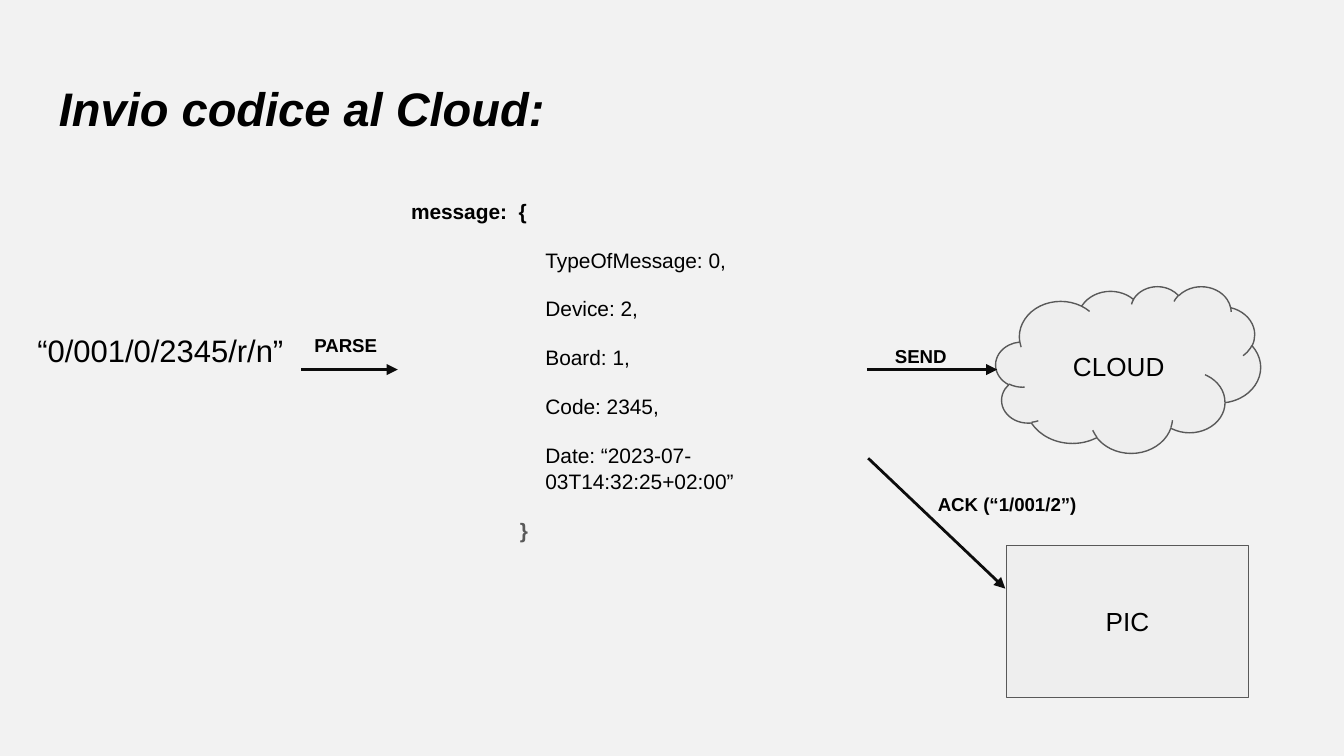
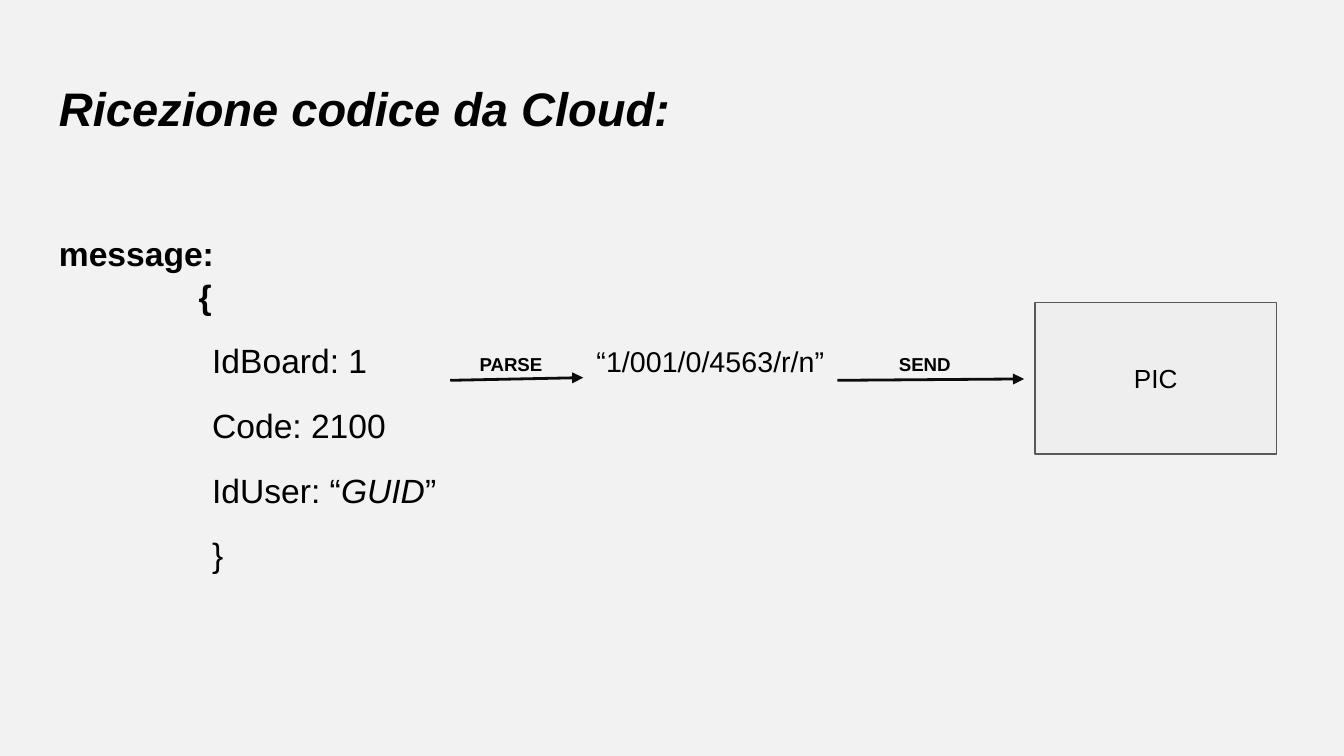
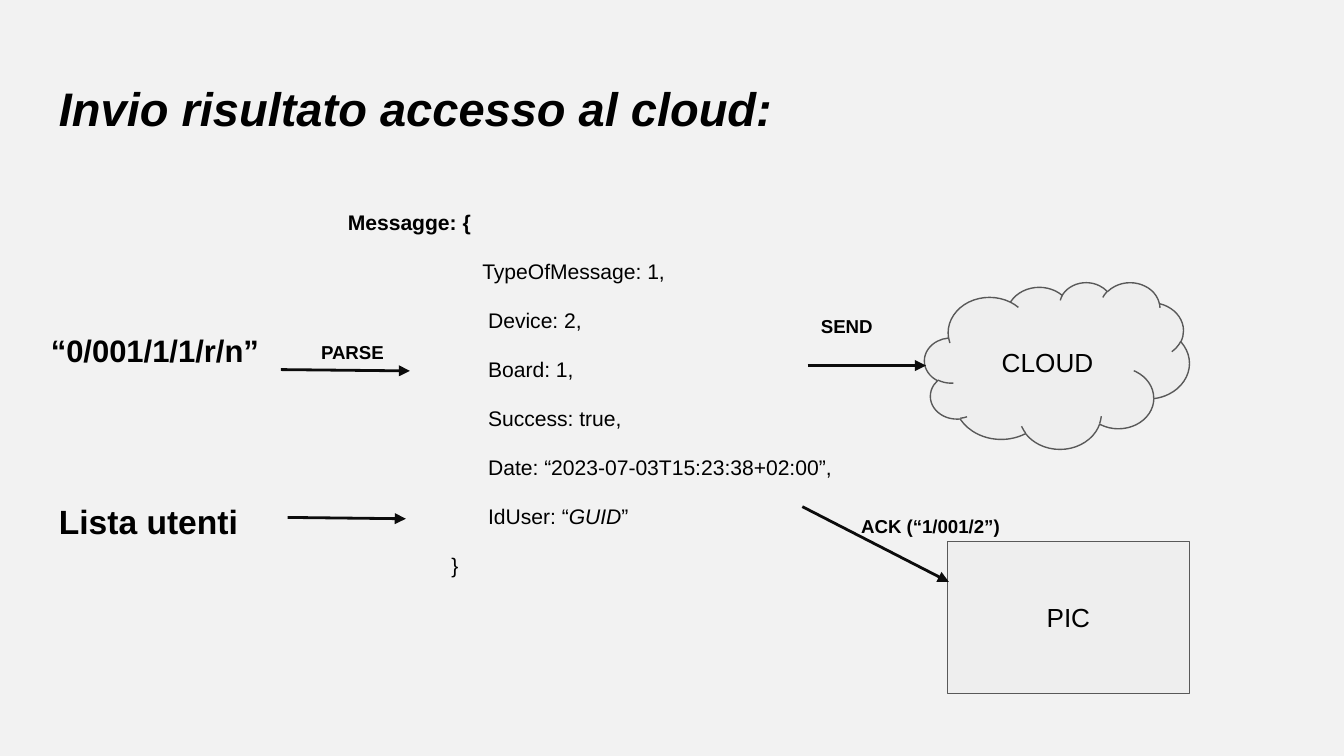
import pptx
import pptx.util
import pptx.dml.color
import pptx.enum.shapes
import pptx.enum.text
import pptx.oxml
from pptx.oxml.ns import qn

Inches, Pt = pptx.util.Inches, pptx.util.Pt
RGB = pptx.dml.color.RGBColor
SHAPE = pptx.enum.shapes.MSO_SHAPE
ANCHOR = pptx.enum.text.MSO_ANCHOR
ALIGN = pptx.enum.text.PP_ALIGN

PAPER = RGB(0xF2, 0xF2, 0xF2)
PALE = RGB(0xEE, 0xEE, 0xEE)
GREY = RGB(0x59, 0x59, 0x59)
INK = RGB(0x0C, 0x0C, 0x0C)
BLACK = RGB(0, 0, 0)
FONT = "Arial"
ROW = 0.63  # height of titles, codes and labels

# Node kinds: preset shape, width, height
NODES = {
    "CLOUD": (SHAPE.CLOUD, 1.97, 1.24),
    "PIC": (SHAPE.RECTANGLE, 1.8, 1.13),
}

# A tuple of runs has its second run in italics
SLIDES = [
    {
        "title": "Invio codice al Cloud:",
        # text, left, top, width, size, bold
        "codes": [("“0/001/0/2345/r/n”", 0.18, 2.27, 2.06, 16.6, False)],
        # head and items: indent, text; close: indent, bold, colour
        "message": {
            "box": (2.96, 1.37, 3.48, 2.77), "size": 11.2,
            "head": (0, "message:  {"),
            "items": (1, ["TypeOfMessage: 0,", "Device: 2,", "Board: 1,",
                          "Code: 2345,", "Date: “2023-07-03T14:32:25+02:00”"]),
            "close": (0.81, True, GREY),
        },
        "nodes": [("CLOUD", 7.41, 2.13), ("PIC", 7.49, 4.06)],
        "arrows": [(2.24, 2.75, 2.96, 2.75), (6.45, 2.75, 7.42, 2.75),
                   (6.46, 3.41, 7.48, 4.38)],
        # text, left, top, width
        "labels": [("PARSE", 2.24, 2.24, 0.72), ("SEND", 6.56, 2.32, 0.65),
                   ("ACK (“1/001/2”)", 6.88, 3.42, 1.8)],
    },
    {
        "title": "Ricezione codice da Cloud:",
        "codes": [("“1/001/0/4563/r/n”", 4.34, 2.35, 1.97, 15.3, False)],
        "message": {
            "box": (0.34, 1.62, 3.48, 2.77), "size": 18,
            "head": (1.04, "message:\n{"),
            "items": (1.14, ["IdBoard: 1", "Code: 2100",
                             ("IdUser: “", "GUID", "”")]),
            "close": (1.14, False, BLACK),
        },
        "nodes": [("PIC", 7.7, 2.25)],
        "arrows": [(3.35, 2.83, 4.34, 2.81), (6.23, 2.83, 7.62, 2.82)],
        "labels": [("PARSE", 3.47, 2.38, 0.72), ("SEND", 6.59, 2.38, 1.8)],
    },
    {
        "title": "Invio risultato accesso al cloud:",
        "codes": [("“0/001/1/1/r/n”", 0.28, 2.27, 1.8, 16.6, True),
                  ("Lista utenti", 0.34, 3.54, 1.8, 18, True)],
        "message": {
            "box": (2.49, 1.45, 4.04, 3.25), "size": 11.3,
            "head": (0, "Messagge: {"),
            "items": (1, ["TypeOfMessage: 1,", " Device: 2,", " Board: 1,",
                          " Success: true,",
                          " Date: “2023-07-03T15:23:38+02:00”,",
                          (" IdUser: “", "GUID", "”")]),
            "close": (0.77, False, BLACK),
        },
        "nodes": [("CLOUD", 6.88, 2.1), ("PIC", 7.05, 4.03)],
        "arrows": [(2.09, 2.75, 3.05, 2.76), (2.14, 3.85, 3.02, 3.86),
                   (6.01, 2.72, 6.89, 2.72), (5.97, 3.77, 7.06, 4.33)],
        "labels": [("PARSE", 2.29, 2.29, 0.72), ("SEND", 6.01, 2.1, 0.68),
                   ("ACK (“1/001/2”)", 6.31, 3.59, 1.8)],
    },
]


def set_font(para, size, bold=False, color=BLACK):
    font = para.font
    font.name, font.size, font.bold = FONT, Pt(size), bold
    font.color.rgb = color


def set_frame(frame, anchor):
    frame.word_wrap = True
    frame.vertical_anchor = anchor
    frame.margin_left = frame.margin_right = Inches(0.1)
    frame.margin_top = frame.margin_bottom = Inches(0.1)


def add_box(slide, box, anchor=ANCHOR.TOP):
    frame = slide.shapes.add_textbox(*map(Inches, box)).text_frame
    set_frame(frame, anchor)
    return frame


def add_title(slide, text):
    para = add_box(slide, (0.34, 0.49, 9.32, ROW)).paragraphs[0]
    para.text = text
    set_font(para, 25.2, True)
    para.font.italic = True


def add_text(slide, text, left, top, width, size=10, bold=True):
    para = add_box(slide, (left, top, width, ROW), ANCHOR.MIDDLE).paragraphs[0]
    para.text = text
    para.line_spacing = 1.15
    set_font(para, size, bold)


def add_message(slide, data):
    # Each line: indent, first-line shift, text, bold, colour
    hang, head = data["head"]
    indent, items = data["items"]
    last, heavy, color = data["close"]
    lines = [(hang, -hang, head, True, BLACK)]
    lines += [(indent, 0, text, False, BLACK) for text in items]
    lines.append((last, 0, "}", heavy, color))

    frame = add_box(slide, data["box"])
    for i, (left, shift, text, bold, tone) in enumerate(lines):
        para = frame.add_paragraph() if i else frame.paragraphs[0]
        if isinstance(text, str):
            para.text = text
        else:
            for part in text:
                para.add_run().text = part
            para.runs[1].font.italic = True
        para.line_spacing = 1.05
        if i:
            para.space_before = Pt(12)
        props = para._p.get_or_add_pPr()
        props.set("marL", str(Inches(left)))
        props.set("indent", str(Inches(shift)))
        set_font(para, data["size"], bold, tone)


def add_node(slide, name, left, top):
    kind, width, height = NODES[name]
    node = slide.shapes.add_shape(
        kind, *map(Inches, (left, top, width, height)))
    node.shadow.inherit = False
    node.fill.solid()
    node.fill.fore_color.rgb = PALE
    node.line.color.rgb = GREY
    node.line.width = Pt(0.75)
    set_frame(node.text_frame, ANCHOR.MIDDLE)
    para = node.text_frame.paragraphs[0]
    para.text = name
    para.alignment = ALIGN.CENTER
    set_font(para, 14)


def add_arrow(slide, ends):
    arrow = slide.shapes.add_connector(
        pptx.enum.shapes.MSO_CONNECTOR.STRAIGHT, *map(Inches, ends))
    arrow.line.color.rgb = INK
    arrow.line.width = Pt(1.5)
    props = arrow._element.spPr
    tail = pptx.oxml.xmlchemy.OxmlElement("a:tailEnd")
    tail.set("type", "triangle")
    props.find(qn("a:ln")).append(tail)
    props.append(pptx.oxml.xmlchemy.OxmlElement("a:effectLst"))


def main():
    deck = pptx.Presentation()
    deck.slide_width = Inches(10)
    deck.slide_height = Inches(10) * 9 // 16

    # Shared background
    back = deck.slide_master.background.fill
    back.solid()
    back.fore_color.rgb = PAPER

    for data in SLIDES:
        slide = deck.slides.add_slide(deck.slide_layouts[6])
        add_title(slide, data["title"])
        for code in data["codes"]:
            add_text(slide, *code)
        add_message(slide, data["message"])
        for node in data["nodes"]:
            add_node(slide, *node)
        for ends in data["arrows"]:
            add_arrow(slide, ends)
        for label in data["labels"]:
            add_text(slide, *label)

    deck.save("out.pptx")


if __name__ == "__main__":
    main()
